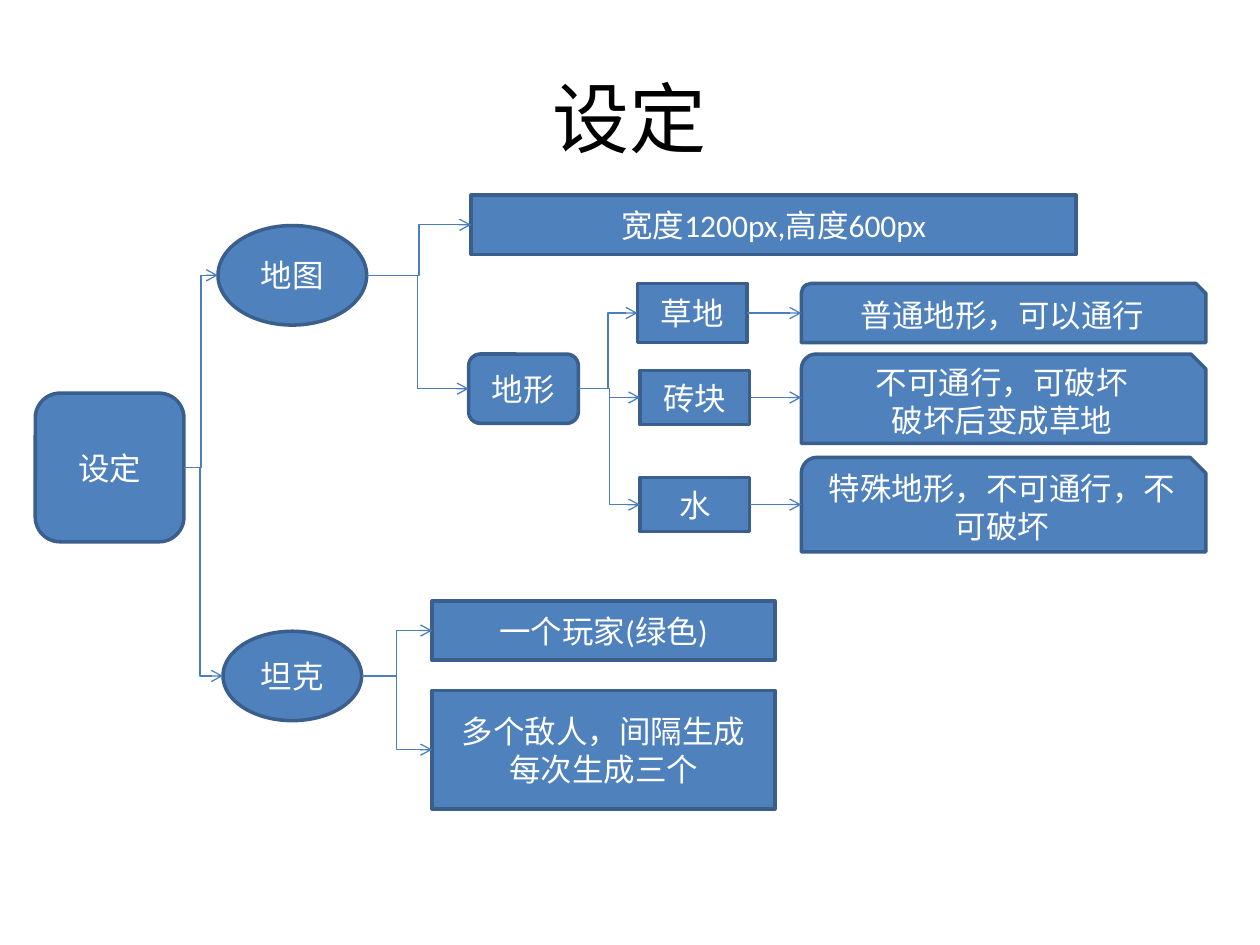
from pptx import Presentation
from pptx.dml.color import RGBColor
from pptx.enum.shapes import MSO_CONNECTOR as LINK, MSO_SHAPE as SHAPE
from pptx.enum.text import MSO_ANCHOR, PP_ALIGN
from pptx.oxml.ns import qn
from pptx.util import Pt
from lxml.etree import SubElement

PX = 9144  # 100 px to the inch
BLUE = RGBColor(0x4F, 0x81, 0xBD)
BORDER = RGBColor(0x3A, 0x5F, 0x8C)
LINK_BLUE = RGBColor(0x4B, 0x7E, 0xBC)
WHITE = RGBColor(0xFF, 0xFF, 0xFF)
BLACK = RGBColor(0, 0, 0)

RECT, ROUND = SHAPE.RECTANGLE, SHAPE.ROUNDED_RECTANGLE
OVAL, SNIP = SHAPE.OVAL, SHAPE.SNIP_ROUND_RECTANGLE
FOUR_SIDED = (RECT, ROUND)  # their connection sites are top, left, bottom, right
LEFT, RIGHT = 1, 3


class Diagram:
    font = "Calibri"

    def __init__(self, slide):
        self.s = slide

    def label(self, sp, text, size, color):
        tf = sp.text_frame
        tf.word_wrap = True
        tf.vertical_anchor = MSO_ANCHOR.MIDDLE
        look = {"name": self.font, "size": Pt(size)}
        for i, line in enumerate(text.split("\n")):
            p = tf.add_paragraph() if i else tf.paragraphs[0]
            p.alignment = PP_ALIGN.CENTER
            r = p.add_run()
            r.text = line
            for key, value in look.items():
                setattr(r.font, key, value)
            r.font.color.rgb = color

    def title(self, text, *box):
        sp = self.s.shapes.add_textbox(*(v * PX for v in box))
        self.label(sp, text, 44, BLACK)

    def node(self, kind, text, *box):
        sp = self.s.shapes.add_shape(kind, *(v * PX for v in box))
        sp.shadow.inherit = False
        sp.fill.solid()
        sp.fill.fore_color.rgb = BLUE
        sp.line.color.rgb = BORDER
        sp.line.width = Pt(2)
        self.label(sp, text, 18, WHITE)
        return sp

    def arrow(self, a, b, kind=LINK.ELBOW, bend=None):
        """Link the right side of a to the left side of b; bend is the elbow's place in 1/1000."""
        y1, y2 = (sp.top + sp.height // 2 for sp in (a, b))
        if kind == LINK.STRAIGHT:
            y2 = y1
        c = self.s.shapes.add_connector(kind, a.left + a.width, y1, b.left, y2)
        if a.auto_shape_type in FOUR_SIDED:
            c.begin_connect(a, RIGHT)
        if b.auto_shape_type in FOUR_SIDED:
            c.end_connect(b, LEFT)
        c.line.color.rgb = LINK_BLUE
        c.line.width = Pt(0.75)
        props = c._element.spPr
        SubElement(props.find(qn("a:ln")), qn("a:tailEnd"), type="arrow")
        SubElement(props, qn("a:effectLst"))
        if bend:
            guides = props.find(qn("a:prstGeom")).find(qn("a:avLst"))
            SubElement(guides, qn("a:gd"), name="adj1", fmla=f"val {bend * 100}")


def main():
    prs = Presentation()
    prs.slide_width, prs.slide_height = 1000 * PX, 750 * PX
    d = Diagram(prs.slides.add_slide(prs.slide_layouts[6]))

    d.title("设定", 50, 30, 900, 125)
    root = d.node(ROUND, "设定", 28, 312, 118, 118)
    game_map = d.node(OVAL, "地图", 173, 179, 118, 79)
    size = d.node(RECT, "宽度1200px,高度600px", 374, 155, 480, 47)
    terrain = d.node(ROUND, "地形", 372, 281, 87, 55)
    tank = d.node(OVAL, "坦克", 177, 501, 110, 71)
    player = d.node(RECT, "一个玩家(绿色)", 343, 477, 272, 47)
    enemies = d.node(RECT, "多个敌人，间隔生成\n每次生成三个", 343, 548, 272, 94)

    d.arrow(root, game_map)
    d.arrow(root, tank, bend=412)
    for parent, children in ((game_map, (size, terrain)), (tank, (player, enemies))):
        for child in children:
            d.arrow(parent, child)

    terrains = (  # name, left, top, height, then rule, top, height
        ("草地", 506, 225, 47, "普通地形，可以通行", 225, 47),
        ("砖块", 508, 294, 43, "不可通行，可破坏\n破坏后变成草地", 281, 71),
        ("水", 508, 379, 43, "特殊地形，不可通行，不可破坏", 363, 75),
    )
    for name, x, y, h, rule, rule_y, rule_h in terrains:
        tile = d.node(RECT, name, x, y, 87, h)
        effect = d.node(SNIP, rule, 636, rule_y, 321, rule_h)
        d.arrow(terrain, tile)
        d.arrow(tile, effect, LINK.STRAIGHT)

    prs.save("out.pptx")


if __name__ == "__main__":
    main()
